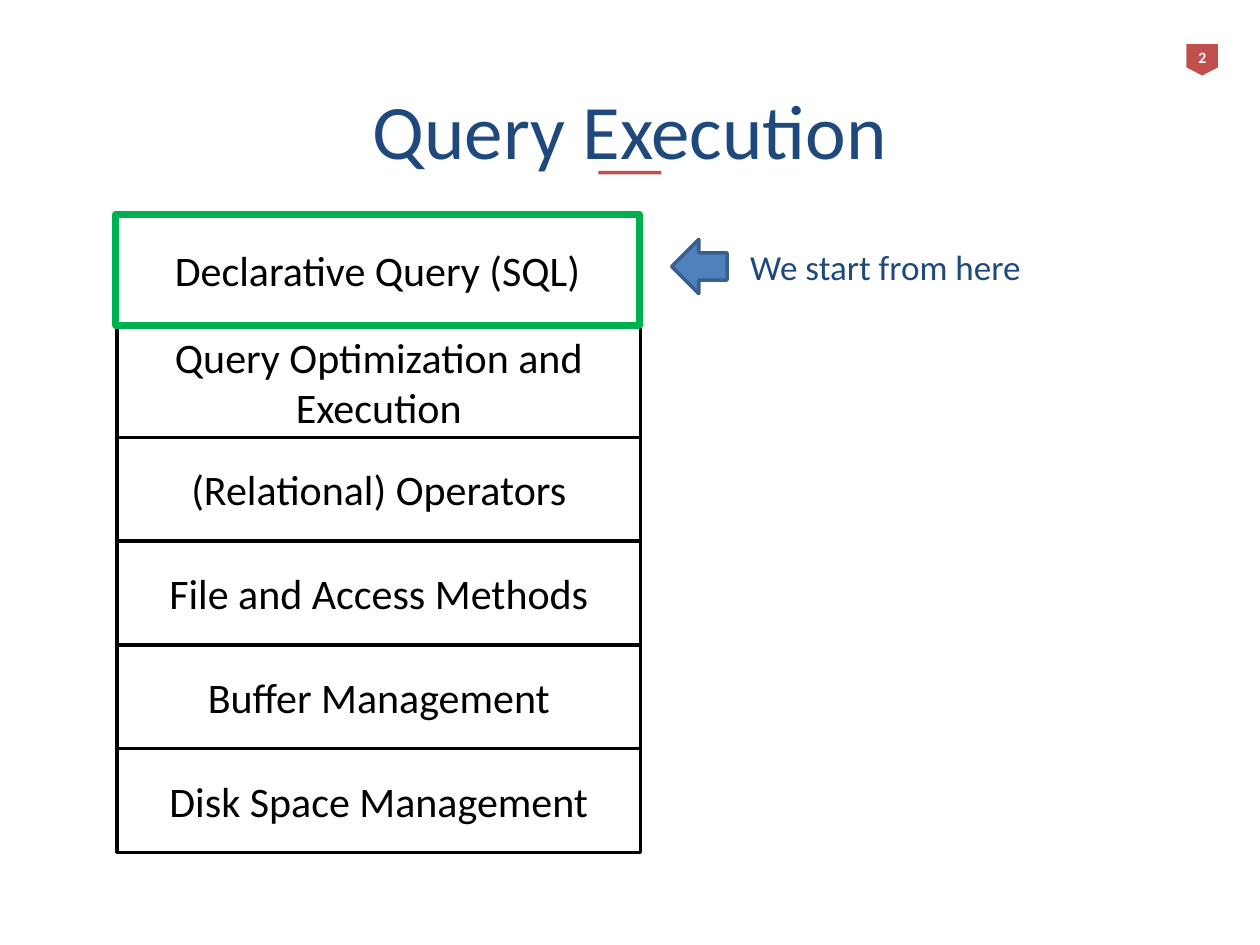
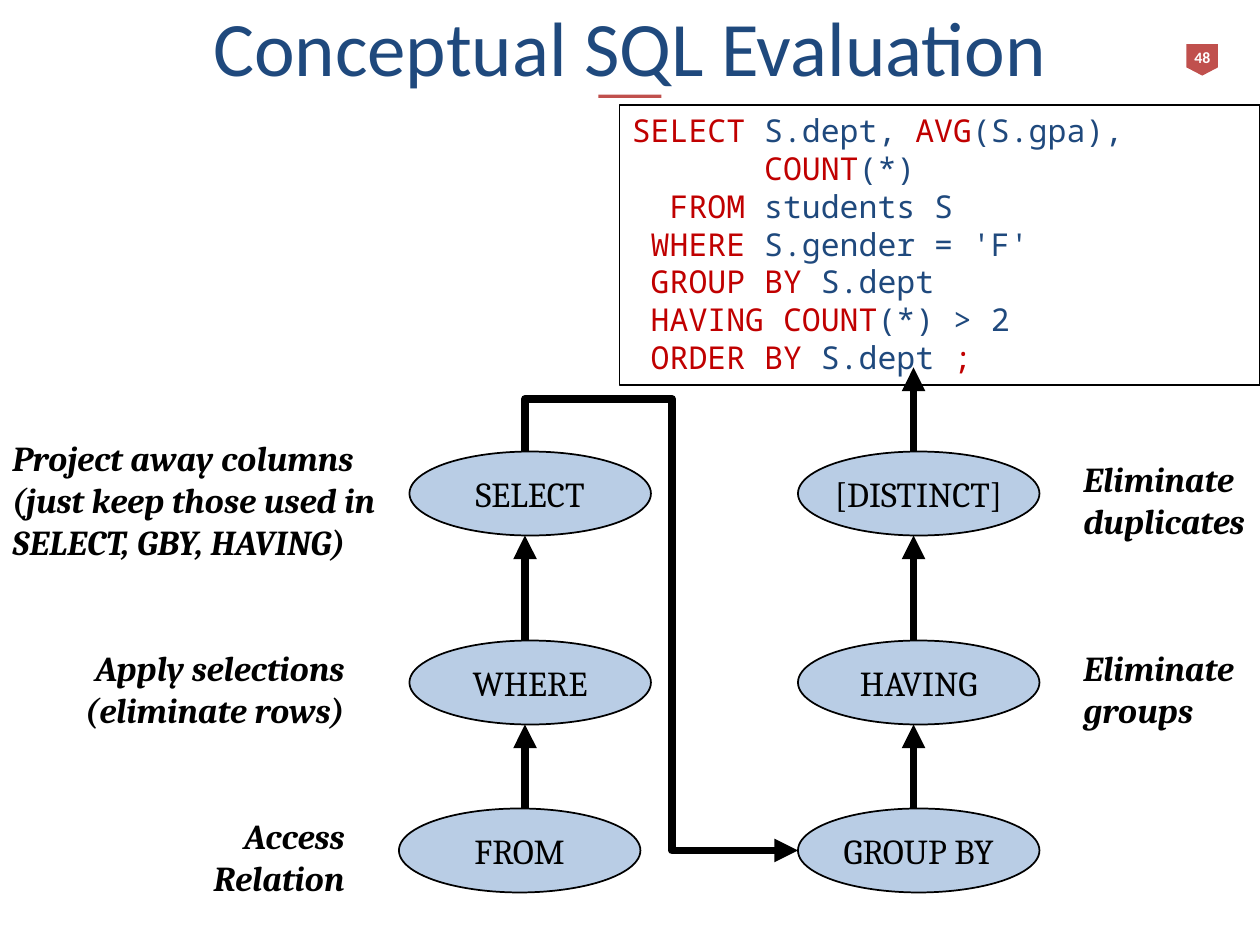
"""Two slides on how a database executes a query."""
from dataclasses import dataclass
from typing import NamedTuple

from lxml.etree import SubElement
from pptx import Presentation
from pptx.dml.color import RGBColor
from pptx.enum.shapes import MSO_CONNECTOR, MSO_SHAPE as Preset
from pptx.enum.text import MSO_ANCHOR as Anchor, MSO_AUTO_SIZE as AutoSize, PP_ALIGN as Align
from pptx.oxml.ns import qn
from pptx.util import Pt


@dataclass(frozen=True)
class Theme:
    """Colours, fonts and type sizes of the deck."""
    navy: str = "1F497D"
    red: str = "C0504D"
    keyword: str = "C00000"
    green: str = "00B050"
    blue: str = "4F81BD"
    blue_edge: str = "3A5F8C"
    pale_blue: str = "B9CDE5"
    black: str = "000000"
    white: str = "FFFFFF"
    sans: str = "Calibri"
    serif: str = "Cambria"
    mono: str = "Noto Sans Mono"
    title_size: float = 44
    layer_size: float = 24
    body_size: float = 20
    code_size: float = 18
    badge_size: float = 9


THEME = Theme()
CODE_COLUMN = 10.8  # advance of one monospaced character at code size
FLOW_WEIGHT = 4.5


class Box(NamedTuple):
    """A rectangle in points."""
    left: float
    top: float
    width: float
    height: float

    def lengths(self) -> list:
        """Return the four values as lengths."""
        return [Pt(value) for value in self]


class Style(NamedTuple):
    """How a run of text looks."""
    font: str
    size: float
    color: str
    bold: bool = False
    italic: bool = False


class Operator(NamedTuple):
    """An ellipse in the evaluation flow."""
    label: str
    left: float
    top: float


class Note(NamedTuple):
    """A remark beside an operator."""
    text: str
    box: Box
    align: Align = Align.LEFT


class CodeLine(NamedTuple):
    """A line of SQL: its start column and (text, is keyword) pieces."""
    column: int
    pieces: list


LAYER_STYLE = Style(THEME.sans, THEME.layer_size, THEME.black)
OPERATOR_STYLE = Style(THEME.serif, THEME.body_size, THEME.black)
NOTE_STYLE = OPERATOR_STYLE._replace(bold=True, italic=True)


def rgb(color: str) -> RGBColor:
    """Turn a hex string into a colour."""
    return RGBColor.from_string(color)


def format_run(run, style: Style) -> None:
    """Apply a style to one run."""
    font = run.font
    font.name, font.size = style.font, Pt(style.size)
    font.bold, font.italic = style.bold, style.italic
    font.color.rgb = rgb(style.color)


def write(shape, text: str, style: Style, align=Align.CENTER, anchor=Anchor.MIDDLE, wrap=True) -> None:
    """Fill a shape with text in one style."""
    frame = shape.text_frame
    frame.text = text
    frame.word_wrap = wrap
    frame.auto_size = AutoSize.NONE
    frame.vertical_anchor = anchor
    for paragraph in frame.paragraphs:
        paragraph.alignment = align
        for run in paragraph.runs:
            format_run(run, style)


def set_line(line, color: str, weight: float, arrow: bool = False) -> None:
    """Set a rounded line, with an arrowhead at its end if wanted."""
    line.color.rgb = rgb(color)
    line.width = Pt(weight)
    element = line.fill._xPr
    SubElement(element, qn("a:round"))
    if arrow:
        SubElement(element, qn("a:tailEnd"), type="triangle")


def add_preset(shapes, preset: Preset, box: Box, fill: str = "", edge: str = "", weight: float = 1):
    """Add a flat preset shape with optional fill and outline."""
    shape = shapes.add_shape(preset, *box.lengths())
    shape.shadow.inherit = False
    if fill:
        shape.fill.solid()
        shape.fill.fore_color.rgb = rgb(fill)
    else:
        shape.fill.background()
    if edge:
        set_line(shape.line, edge, weight)
    else:
        shape.line.fill.background()
    return shape


def add_text(shapes, text: str, box: Box, style: Style, align=Align.LEFT, wrap=True):
    """Add a text box that starts at the top."""
    shape = shapes.add_textbox(*box.lengths())
    write(shape, text, style, align, Anchor.TOP, wrap)
    return shape


def add_titled_slide(presentation, title: str, title_box: Box, rule_top: float, number: str):
    """Add a slide with its title, the short rule below and the page badge."""
    slide = presentation.slides.add_slide(presentation.slide_layouts[5])
    heading = slide.shapes.title
    heading.left, heading.top, heading.width, heading.height = title_box.lengths()
    write(heading, title, Style(THEME.sans, THEME.title_size, THEME.navy))
    add_preset(slide.shapes, Preset.RECTANGLE, Box(342, rule_top, 36, 2), THEME.red)

    badge = slide.shapes.add_group_shape().shapes
    pennant = add_preset(badge, Preset.PENTAGON, Box(678, 25.2, 18, 18), THEME.red)
    pennant.adjustments[0] = 0.26
    pennant.rotation = 90
    number_style = Style(THEME.sans, THEME.badge_size, THEME.white, bold=True)
    add_text(badge, number, Box(675.2, 23.8, 23.6, 18), number_style, Align.CENTER, wrap=False)
    return slide


def add_layer(slide, label: str, box: Box, edge: str = THEME.black, weight: float = 2) -> None:
    """Add one layer of the database stack."""
    layer = add_preset(slide.shapes, Preset.RECTANGLE, box, THEME.white, edge, weight)
    write(layer, label, LAYER_STYLE)


def add_up_arrow(slide, x: float, bottom: float, top: float) -> None:
    """Add a heavy vertical arrow that points up."""
    arrow = slide.shapes.add_connector(MSO_CONNECTOR.STRAIGHT, Pt(x), Pt(bottom), Pt(x), Pt(top))
    set_line(arrow.line, THEME.black, FLOW_WEIGHT, arrow=True)
    SubElement(arrow._element.spPr, qn("a:effectLst"))


def add_path_arrow(slide, points: list) -> None:
    """Add a heavy arrow along several points."""
    corners = [(Pt(x), Pt(y)) for x, y in points]
    builder = slide.shapes.build_freeform(*corners[0])
    builder.add_line_segments(corners[1:], close=False)
    path = builder.convert_to_shape()
    path.shadow.inherit = False
    path.fill.background()
    set_line(path.line, THEME.black, FLOW_WEIGHT, arrow=True)


def add_code(slide, box: Box, lines: list) -> None:
    """Add a framed SQL listing with coloured keywords."""
    frame_shape = add_preset(slide.shapes, Preset.RECTANGLE, box, edge=THEME.black)
    frame = frame_shape.text_frame
    frame.word_wrap = True
    frame.vertical_anchor = Anchor.TOP
    for index, line in enumerate(lines):
        paragraph = frame.add_paragraph() if index else frame.paragraphs[0]
        paragraph.alignment = Align.LEFT
        paragraph._p.get_or_add_pPr().set("marL", str(Pt(line.column * CODE_COLUMN)))
        for text, is_keyword in line.pieces:
            run = paragraph.add_run()
            run.text = text
            color = THEME.keyword if is_keyword else THEME.navy
            format_run(run, Style(THEME.mono, THEME.code_size, color))


def build_execution_slide(presentation) -> None:
    """Build the stack of database layers."""
    slide = add_titled_slide(presentation, "Query Execution", Box(36, 43.2, 648, 60.5), 97.6, "2")
    left, width, tall, low = 67, 299, 63.4, 59.3
    layers = [
        ("Query Optimization and Execution", tall),
        ("(Relational) Operators", low),
        ("File and Access Methods", low),
        ("Buffer Management", low),
        ("Disk Space Management", low),
    ]
    top = 186.5
    for label, height in layers:
        add_layer(slide, label, Box(left, top, width, height))
        top += height
    add_layer(slide, "Declarative Query (SQL)", Box(66.3, 122.5, width, tall), THEME.green, 4)

    remark_style = Style(THEME.sans, THEME.body_size, THEME.navy)
    remark = add_text(slide.shapes, "We start from here", Box(394.5, 136.8, 278.6, 349.2), remark_style)
    remark.text_frame.margin_left = Pt(34.2)
    remark.text_frame.paragraphs[0].space_before = Pt(4)
    add_preset(slide.shapes, Preset.LEFT_ARROW, Box(383.8, 136.8, 31.7, 31), THEME.blue, THEME.blue_edge, 2)


def build_evaluation_slide(presentation) -> None:
    """Build the flow of a conceptual SQL evaluation."""
    slide = add_titled_slide(presentation, "Conceptual SQL Evaluation", Box(36, 5.8, 648, 41), 54, "48")
    add_code(slide, Box(354, 60, 366, 160), [
        CodeLine(0, [("SELECT ", True), ("S.dept, ", False), ("AVG", True), ("(S.gpa),", False)]),
        CodeLine(7, [("COUNT", True), ("(*)", False)]),
        CodeLine(2, [("FROM", True), (" students S", False)]),
        CodeLine(1, [("WHERE ", True), ("S.gender = 'F'", False)]),
        CodeLine(1, [("GROUP BY ", True), ("S.dept", False)]),
        CodeLine(1, [("HAVING COUNT", True), ("(*) > 2", False)]),
        CodeLine(1, [("ORDER BY ", True), ("S.dept ", False), (";", True)]),
    ])

    upper, middle, lower, height = 258, 366, 462, 48
    operators = [
        Operator("SELECT", 234, upper),
        Operator("WHERE", 234, middle),
        Operator("FROM", 228, lower),
        Operator("[DISTINCT]", 456, upper),
        Operator("HAVING", 456, middle),
        Operator("GROUP BY", 456, lower),
    ]
    for label, left, top in operators:
        ellipse = add_preset(slide.shapes, Preset.OVAL, Box(left, top, 138, height),
                             THEME.pale_blue, THEME.black)
        write(ellipse, label, OPERATOR_STYLE, wrap=False)

    notes = [
        Note("Project away columns\n(just keep those used in SELECT, GBY, HAVING)", Box(0, 246, 246, 79)),
        Note("Apply selections\n(eliminate rows)", Box(0, middle, 204, 55.5), Align.RIGHT),
        Note("Access\nRelation", Box(48, lower, 156, 55.5), Align.RIGHT),
        Note("Eliminate duplicates", Box(612, upper, 108, 55.5)),
        Note("Eliminate groups", Box(612, middle, 108, 55.5)),
    ]
    for note in notes:
        add_text(slide.shapes, note.text, note.box, NOTE_STYLE, note.align)

    left_axis, right_axis = 300, 522
    for axis in (left_axis, right_axis):
        add_up_arrow(slide, axis, lower, middle + height)
        add_up_arrow(slide, axis, middle, upper + height)
    add_up_arrow(slide, right_axis, upper, 210)
    add_path_arrow(slide, [(left_axis, upper), (left_axis, 228), (384, 228), (384, 486), (456, 486)])


def main() -> None:
    """Build and save the deck."""
    presentation = Presentation()
    presentation.slide_width, presentation.slide_height = Pt(720), Pt(540)
    build_execution_slide(presentation)
    build_evaluation_slide(presentation)
    presentation.save("out.pptx")


main()
